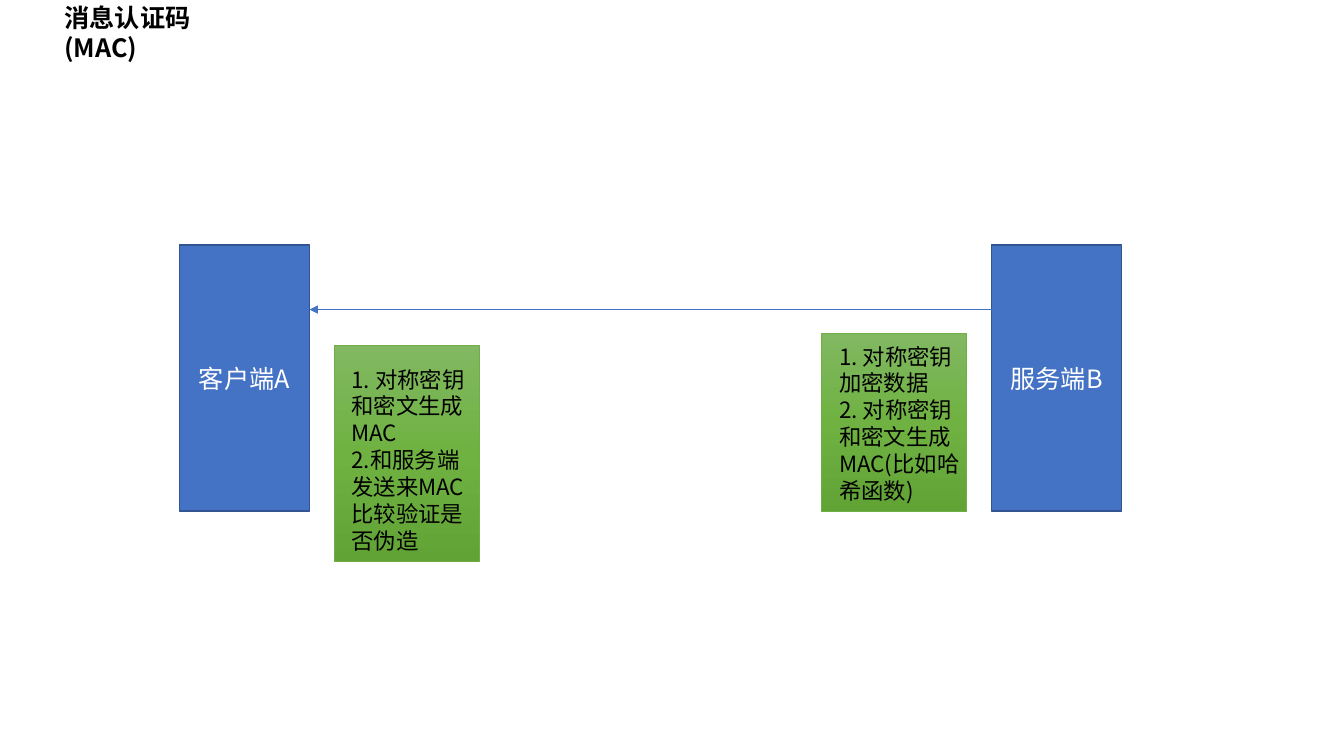
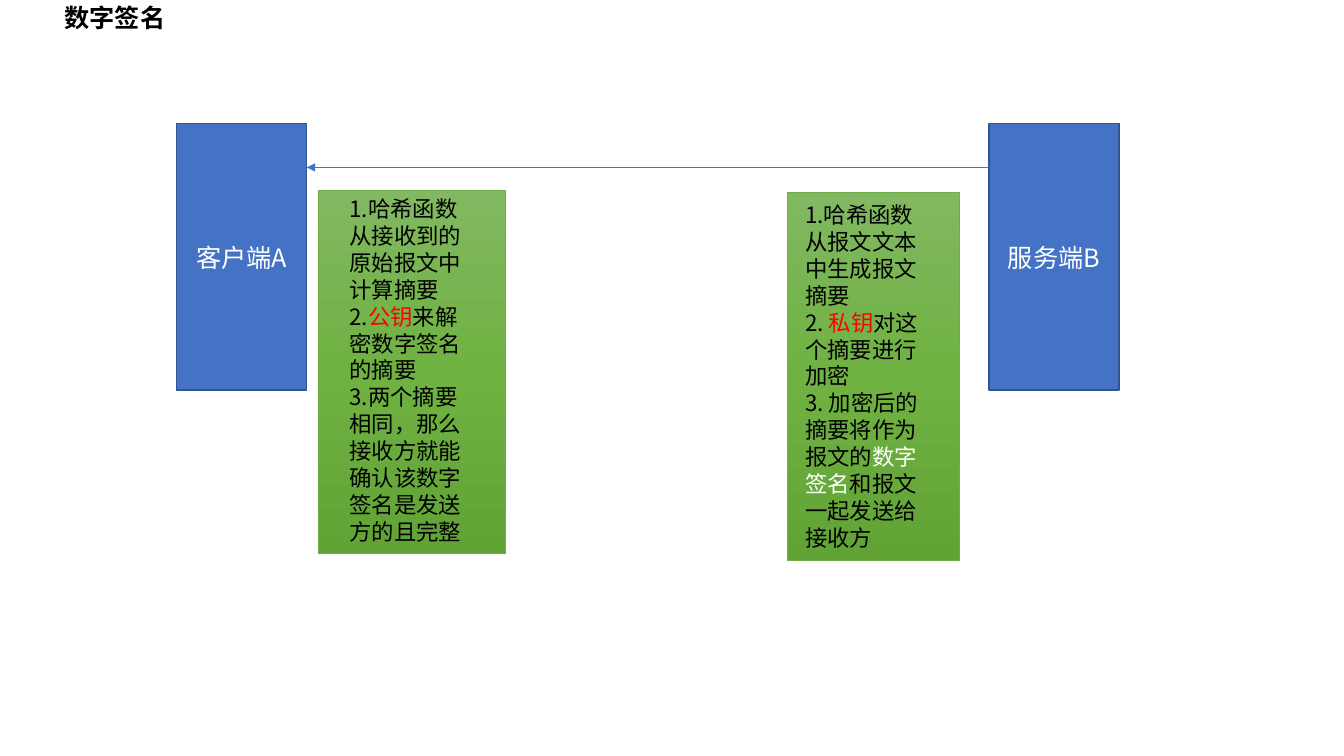
import copy
import dataclasses

import pptx
import pptx.dml.color
import pptx.enum.shapes
import pptx.enum.text
import pptx.oxml
import pptx.oxml.ns
import pptx.util

Cm = pptx.util.Cm
Pt = pptx.util.Pt
RECT = pptx.enum.shapes.MSO_SHAPE.RECTANGLE
ALIGN = pptx.enum.text.PP_ALIGN
ANCHOR = pptx.enum.text.MSO_ANCHOR


@dataclasses.dataclass(frozen=True)
class Theme:
    """Colours, type sizes and shared measures."""
    font: str = "Noto Sans CJK SC"
    ink: str = "000000"
    white: str = "FFFFFF"
    red: str = "FF0000"
    blue: str = "4472C4"
    edge: str = "325491"
    rim: str = "70AD47"
    greens: tuple = ((0, "81B861"), (0.5, "6FB242"), (1, "62A336"))
    head: int = 18
    body: int = 16
    lead: float = 1.2
    peer: tuple = (3.28, 6.71)
    span: float = 20.47
    wrap: float = 3.66


LOOK = Theme()


def rgb(code):
    """Turn a hex code into a colour."""
    return pptx.dml.color.RGBColor.from_string(code)


def add_tag(host, tag, **attrs):
    """Append a DrawingML child element."""
    node = host.makeelement(pptx.oxml.ns.qn(tag), attrs)
    host.append(node)


def style(para, size, colors, bold=False, align=ALIGN.LEFT):
    """Format a paragraph and colour its runs in turn."""
    para.alignment = align
    para.line_spacing = Pt(size * LOOK.lead)
    for run, color in zip(para.runs, colors):
        run.font.size = Pt(size)
        run.font.bold = bold
        run.font.name = LOOK.font
        run.font.color.rgb = rgb(color)
        add_tag(run.font._element, "a:ea", typeface=LOOK.font)


def add_title(slide, text, width, inset):
    """Move and format the title placeholder."""
    title = slide.shapes.title
    title.left, title.top = Cm(1.37), Cm(-0.08)
    title.width, title.height = Cm(width), Cm(1.02)
    frame = title.text_frame
    frame.text = text
    frame.word_wrap = True
    frame.auto_size = pptx.enum.text.MSO_AUTO_SIZE.NONE
    frame.vertical_anchor = ANCHOR.TOP
    frame.margin_right = Cm(inset)
    style(frame.paragraphs[0], LOOK.head, [LOOK.ink], bold=True)


def add_rect(slide, box, line, weight):
    """Add a flat rectangle with an outline."""
    rect = slide.shapes.add_shape(RECT, *map(Cm, box))
    rect.shadow.inherit = False
    rect.line.color.rgb = rgb(line)
    rect.line.width = Pt(weight)
    return rect


def add_peer(slide, name, left, top):
    """Add a blue block for one end of the exchange."""
    peer = add_rect(slide, (left, top, *LOOK.peer), LOOK.edge, 1)
    peer.fill.solid()
    peer.fill.fore_color.rgb = rgb(LOOK.blue)
    frame = peer.text_frame
    frame.text = name
    frame.vertical_anchor = ANCHOR.MIDDLE
    style(frame.paragraphs[0], LOOK.head, [LOOK.white], align=ALIGN.CENTER)


def add_arrow(slide, start, end, y):
    """Add a level arrow from start to end."""
    kind = pptx.enum.shapes.MSO_CONNECTOR.STRAIGHT
    arrow = slide.shapes.add_connector(kind, Cm(start), Cm(y), Cm(end), Cm(y))
    arrow.line.color.rgb = rgb(LOOK.blue)
    arrow.line.width = Pt(0.5)
    props = arrow.element.spPr
    add_tag(props.find(pptx.oxml.ns.qn("a:ln")), "a:tailEnd", type="triangle")
    add_tag(props, "a:effectLst")


def add_card(slide, box):
    """Add a green panel shaded from top to bottom."""
    card = add_rect(slide, box, LOOK.rim, 0.5)
    card.fill.gradient()
    card.fill.gradient_angle = 270
    stops = card.element.spPr.find(".//" + pptx.oxml.ns.qn("a:gsLst"))
    stops.append(copy.deepcopy(stops[0]))
    for stop, (place, color) in zip(card.fill.gradient_stops, LOOK.greens):
        stop.position = place
        stop.color.rgb = rgb(color)


def add_steps(slide, left, top, height, steps):
    """Add step text; each step is a list of (text, colour) runs."""
    box = slide.shapes.add_textbox(
        Cm(left), Cm(top), Cm(LOOK.wrap), Cm(height))
    frame = box.text_frame
    frame.word_wrap = True
    for i, step in enumerate(steps):
        para = frame.add_paragraph() if i else frame.paragraphs[0]
        for text, _ in step:
            para.add_run().text = text
        style(para, LOOK.body, [color for _, color in step])


def add_flow(deck, title, left, top, y, notes):
    """Build a slide: server B sends to client A, with notes."""
    slide = deck.slides.add_slide(deck.slide_layouts[5])
    add_title(slide, *title)
    right = left + LOOK.span
    add_peer(slide, "客户端A", left, top)
    add_peer(slide, "服务端B", right, top)
    add_arrow(slide, right, left + LOOK.peer[0], y)
    for box, place, steps in notes:
        add_card(slide, box)
        add_steps(slide, *place, steps)


def main():
    """Build and save the deck."""
    deck = pptx.Presentation()
    deck.slide_width, deck.slide_height = Cm(33.87), Cm(19.05)
    ink, red, white = LOOK.ink, LOOK.red, LOOK.white

    add_flow(deck, ("消息认证码(MAC)", 5.56, 1.9), 4.52, 6.17, 7.8, [
        ((20.7, 8.41, 3.66, 4.47), (20.9, 8.51, 4.37), [
            [("1. 对称密钥加密数据", ink)],
            [("2. 对称密钥和密文生成MAC(比如哈希函数)", ink)],
        ]),
        ((8.43, 8.71, 3.66, 5.44), (8.61, 9.09, 5.05), [
            [("1. 对称密钥和密文生成MAC", ink)],
            [("2.和服务端发送来MAC比较验证是否伪造", ink)],
        ]),
    ])
    add_flow(deck, ("数字签名", 3.07, 0.1), 4.45, 3.12, 4.22, [
        ((8.03, 4.8, 4.7, 9.14), (8.56, 4.8, 9.14), [
            [("1.哈希函数从接收到的原始报文中计算摘要", ink)],
            [("2.", ink), ("公钥", red), ("来解密数字签名的摘要", ink)],
            [("3.两个摘要相同，那么接收方就能确认该数字签名是发送方的且完整", ink)],
        ]),
        ((19.84, 4.85, 4.34, 9.27), (20.04, 4.95, 9.14), [
            [("1.哈希函数从报文文本中生成报文摘要", ink)],
            [("2. ", ink), ("私钥", red), ("对这个摘要进行加密", ink)],
            [("3. 加密后的摘要将作为报文的", ink), ("数字签名", white),
             ("和报文一起发送给接收方", ink)],
        ]),
    ])
    deck.save("out.pptx")


main()
